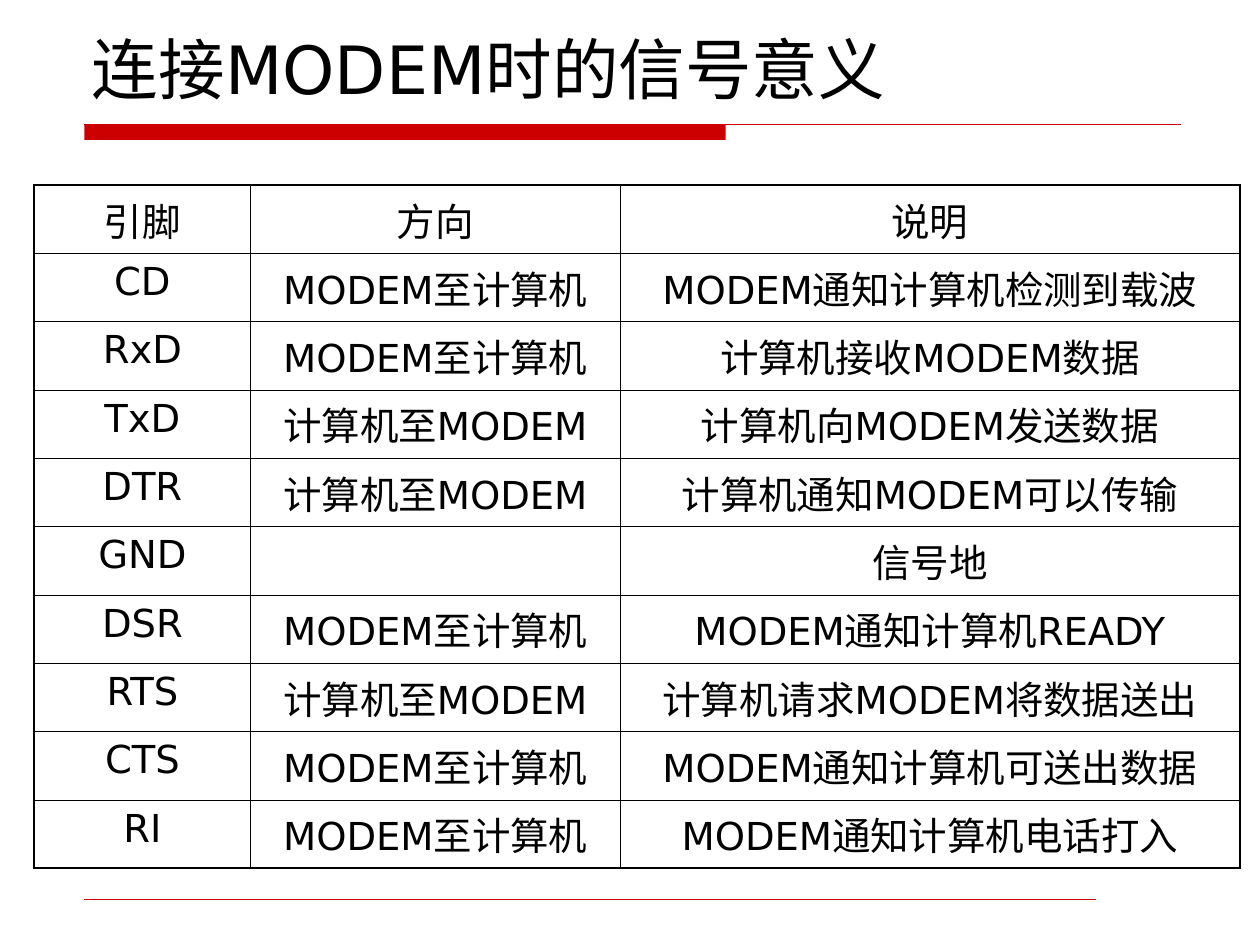
from dataclasses import dataclass

from lxml import etree
from pptx import Presentation
from pptx import util as u
from pptx.dml.color import RGBColor
from pptx.enum import shapes, text
from pptx.oxml import ns


@dataclass(frozen=True)
class Theme:
    """Colours, typeface, type sizes and line weights."""

    font: str = "DejaVu Sans"
    ink: str = "000000"
    accent: str = "CC0000"
    title_size: float = 38
    body_size: float = 22
    frame: float = 1.08
    grid: float = 0.45


class SlideBuilder:
    """Places styled elements on the current slide."""

    def __init__(self, slide, theme):
        self.slide = slide
        self.theme = theme

    def add_words(self, frame, words, size, alignment):
        """Add one styled run to a text frame."""
        paragraph = frame.paragraphs[0]
        paragraph.alignment = alignment
        run = paragraph.add_run()
        run.text = words
        run.font.name = self.theme.font
        run.font.size = u.Pt(size)
        run.font.color.rgb = RGBColor.from_string(self.theme.ink)

    def title(self, words, left, top, width, height):
        """Move the title placeholder and fill it."""
        shape = self.slide.shapes.title
        shape.left, shape.top = u.Inches(left), u.Inches(top)
        shape.width, shape.height = u.Inches(width), u.Inches(height)
        frame = shape.text_frame
        frame.word_wrap = True
        frame.auto_size = text.MSO_AUTO_SIZE.NONE
        frame.vertical_anchor = text.MSO_ANCHOR.BOTTOM
        self.add_words(frame, words, self.theme.title_size, text.PP_ALIGN.LEFT)

    def bar(self, left, top, width, height):
        """Add a solid accent bar."""
        shape = self.slide.shapes.add_shape(
            shapes.MSO_SHAPE.RECTANGLE,
            u.Inches(left), u.Inches(top), u.Inches(width), u.Inches(height),
        )
        shape.shadow.inherit = False
        shape.fill.solid()
        shape.fill.fore_color.rgb = RGBColor.from_string(self.theme.accent)
        shape.line.fill.background()

    def rule(self, left, right, top, weight):
        """Add a horizontal accent line."""
        connector = self.slide.shapes.add_connector(
            shapes.MSO_CONNECTOR.STRAIGHT,
            u.Inches(left), u.Inches(top), u.Inches(right), u.Inches(top),
        )
        connector.line.color.rgb = RGBColor.from_string(self.theme.accent)
        connector.line.width = u.Pt(weight)
        etree.SubElement(connector.element.spPr, ns.qn("a:effectLst"))

    def border(self, cell, side, weight):
        """Draw one side of a cell."""
        line = etree.SubElement(
            cell._tc.get_or_add_tcPr(), ns.qn(f"a:ln{side}"), w=str(u.Pt(weight))
        )
        fill = etree.SubElement(line, ns.qn("a:solidFill"))
        etree.SubElement(fill, ns.qn("a:srgbClr"), val=self.theme.ink)

    def table(self, rows, left, top, widths, row_height):
        """Add a centred table with a heavier outer frame."""
        table = self.slide.shapes.add_table(
            len(rows), len(widths), u.Inches(left), u.Inches(top),
            u.Inches(sum(widths)), u.Inches(row_height * len(rows)),
        ).table
        table.first_row = table.horz_banding = False
        for column, width in zip(table.columns, widths):
            column.width = u.Inches(width)
        last_row, last_column = len(rows) - 1, len(widths) - 1
        for i, row in enumerate(rows):
            for j, words in enumerate(row):
                cell = table.cell(i, j)
                outer = {"L": j == 0, "R": j == last_column,
                         "T": i == 0, "B": i == last_row}
                for side, is_outer in outer.items():
                    weight = self.theme.frame if is_outer else self.theme.grid
                    self.border(cell, side, weight)
                cell.fill.background()
                if words:
                    self.add_words(cell.text_frame, words, self.theme.body_size,
                                   text.PP_ALIGN.CENTER)


TO_COMPUTER = "MODEM至计算机"
TO_MODEM = "计算机至MODEM"
SIGNALS = [
    ("引脚", "方向", "说明"),
    ("CD", TO_COMPUTER, "MODEM通知计算机检测到载波"),
    ("RxD", TO_COMPUTER, "计算机接收MODEM数据"),
    ("TxD", TO_MODEM, "计算机向MODEM发送数据"),
    ("DTR", TO_MODEM, "计算机通知MODEM可以传输"),
    ("GND", "", "信号地"),
    ("DSR", TO_COMPUTER, "MODEM通知计算机READY"),
    ("RTS", TO_MODEM, "计算机请求MODEM将数据送出"),
    ("CTS", TO_COMPUTER, "MODEM通知计算机可送出数据"),
    ("RI", TO_COMPUTER, "MODEM通知计算机电话打入"),
]


def main():
    """Build and save the presentation."""
    presentation = Presentation()
    presentation.slide_width = u.Inches(10)
    presentation.slide_height = u.Inches(7.5)
    slide = presentation.slides.add_slide(presentation.slide_layouts[5])
    builder = SlideBuilder(slide, Theme())
    builder.bar(0.67, 0.99, 5.09, 0.12)
    builder.rule(0.67, 9.37, 0.99, 0.75)
    builder.rule(0.67, 8.7, 7.14, 0.25)
    builder.title("连接MODEM时的信号意义", 0.63, 0.13, 8.75, 0.78)
    builder.table(SIGNALS, 0.27, 1.47, [1.72, 2.93, 4.92], 0.5)
    presentation.save("out.pptx")


if __name__ == "__main__":
    main()
